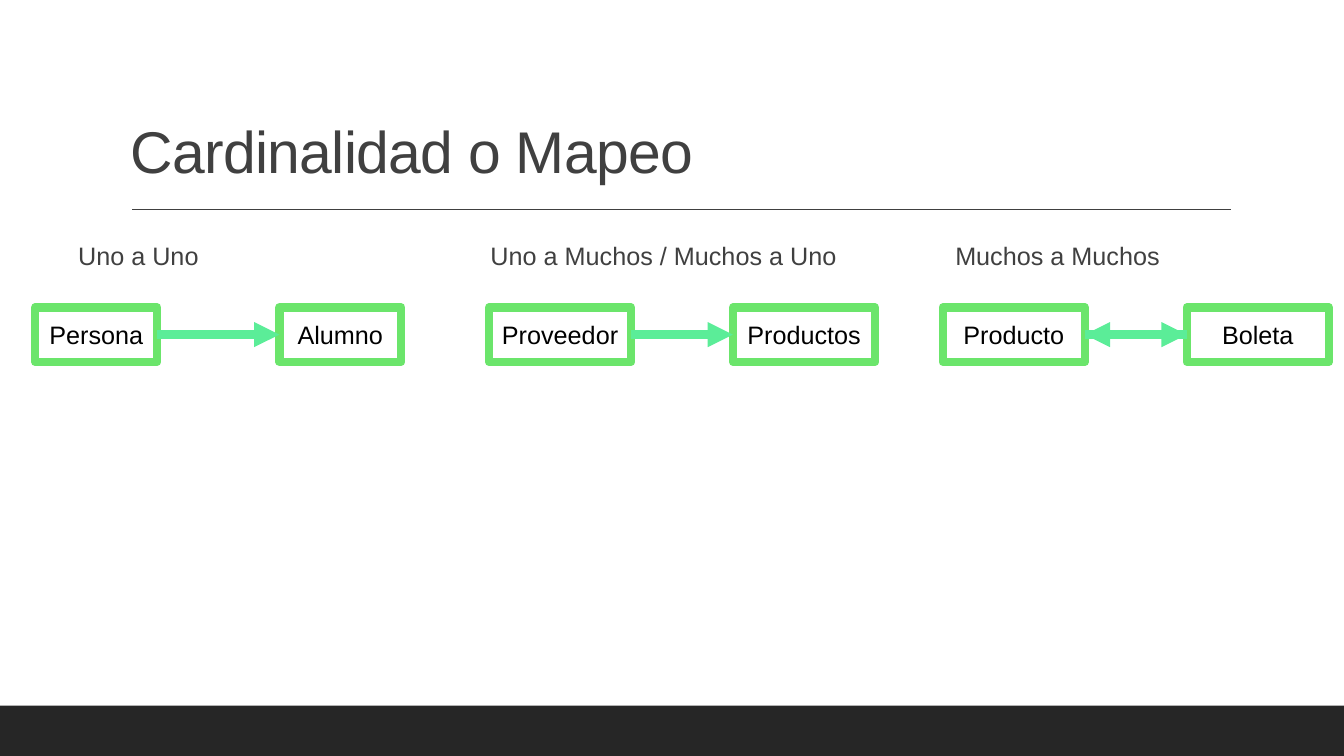
"""Builds the slide on cardinality, with three pairs of linked entities."""
from lxml.etree import SubElement
from pptx import Presentation
from pptx.dml.color import RGBColor
from pptx.enum.shapes import MSO_CONNECTOR, MSO_SHAPE
from pptx.enum.text import MSO_ANCHOR, PP_ALIGN
from pptx.oxml.ns import qn
from pptx.util import Inches, Pt

HUES = {name: RGBColor.from_string(code) for name, code in {
    "bar": "262626", "text": "404040", "name": "000000",
    "box": "6BE56B", "arrow": "5BED98", "bullet": "E76829"}.items()}
WIDE, HIGH = 13.33, 7.5
LEFT, STEP, PITCH = 0.35, 4.5, 2.42
TOP, TALL = 3.05, 0.54


def write(shape, text, size, hue, anchor=MSO_ANCHOR.TOP):
    frame = shape.text_frame
    frame.word_wrap = True
    frame.vertical_anchor = anchor
    run = frame.paragraphs[0].add_run()
    run.text = text
    run.font.name, run.font.size = "Arial", Pt(size)
    run.font.color.rgb = HUES[hue]
    return frame.paragraphs[0], run


def link(start, end, hue, width):
    line = slide.shapes.add_connector(
        MSO_CONNECTOR.STRAIGHT, *[Inches(n) for n in start + end])
    line.line.color.rgb = HUES[hue]
    line.line.width = Pt(width)
    SubElement(line._element.spPr, qn("a:effectLst"))
    return line


deck = Presentation()
deck.slide_width, deck.slide_height = Inches(WIDE), Inches(HIGH)
slide = deck.slides.add_slide(deck.slide_layouts[6])

bar = slide.shapes.add_shape(
    MSO_SHAPE.RECTANGLE, 0, Inches(HIGH - 0.5), Inches(WIDE), Inches(0.5))
bar.shadow.inherit = False
bar.fill.solid()
bar.fill.fore_color.rgb = HUES["bar"]
bar.line.fill.background()

link((1.31, 2.08), (12.21, 2.08), "text", 1)

title = slide.shapes.add_textbox(
    Inches(1.2), Inches(0.31), Inches(11), Inches(1.59))
para, run = write(title, "Cardinalidad o Mapeo", 42, "text", MSO_ANCHOR.BOTTOM)
para.line_spacing = 0.9
run._r.get_or_add_rPr().set("spc", "-50")

groups = [
    ("Uno a Uno", 0.65, 3.2, 1.21, ("Persona", "Alumno"), False),
    ("Uno a Muchos / Muchos a Uno", 4.74, 3.74, 1.41,
     ("Proveedor", "Productos"), False),
    ("Muchos a Muchos", 9.35, 3.74, 1.41, ("Producto", "Boleta"), True),
]
for col, (label, left, span, width, names, both) in enumerate(groups):
    head = slide.shapes.add_textbox(
        Inches(left), Inches(2.28), Inches(span), Inches(TALL))
    para, run = write(head, label, 18, "text")
    head.text_frame.margin_left = head.text_frame.margin_right = 0
    para.line_spacing = 1.2
    para.space_before, para.space_after = Pt(12), Pt(2)
    props = para._p.get_or_add_pPr()
    props.set("marL", str(Inches(0.1)))
    props.set("indent", str(-Inches(0.1)))
    tint = SubElement(props, qn("a:buClr"))
    SubElement(tint, qn("a:srgbClr"), val=str(HUES["bullet"]))
    SubElement(props, qn("a:buChar"), char=" ")

    boxes = []
    for side, name in enumerate(names):
        box = slide.shapes.add_shape(
            MSO_SHAPE.RECTANGLE, Inches(LEFT + col * STEP + side * PITCH),
            Inches(TOP), Inches(width), Inches(TALL))
        box.shadow.inherit = False
        box.fill.background()
        box.line.color.rgb = HUES["box"]
        box.line.width = Pt(6)
        para, run = write(box, name, 18, "name", MSO_ANCHOR.MIDDLE)
        para.alignment = PP_ALIGN.CENTER
        boxes.append(box)

    ends = [(boxes[0], 3), (boxes[1], 1)]
    for start, end in [ends[::-1], ends] if both else [ends]:
        arrow = link((0, 0), (1, 1), "arrow", 6)
        arrow.begin_connect(*start)
        arrow.end_connect(*end)
        SubElement(arrow.line._get_or_add_ln(), qn("a:tailEnd"), type="triangle")

deck.save("out.pptx")
